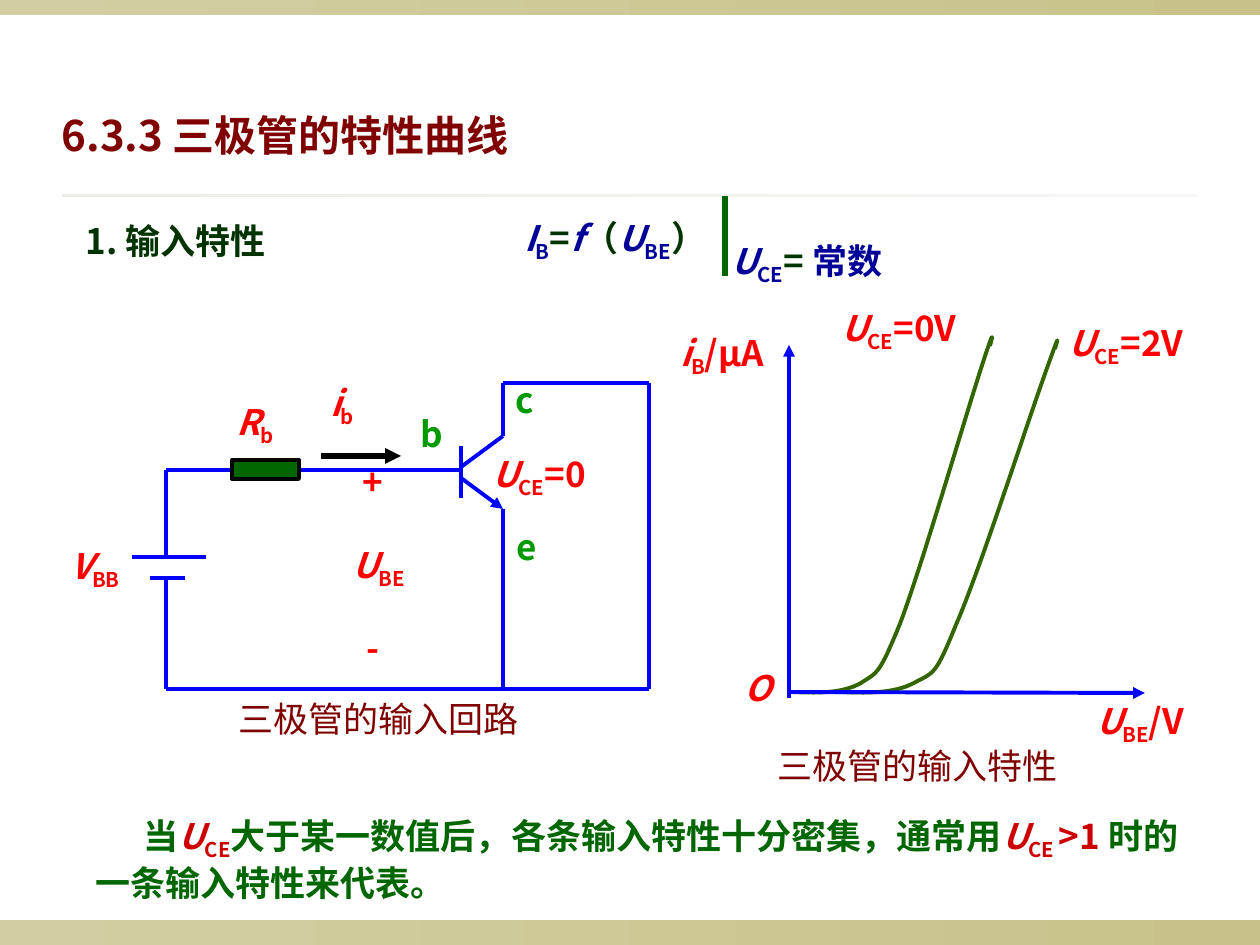
from pptx import Presentation
from pptx.dml.color import RGBColor
from pptx.enum.shapes import MSO_CONNECTOR as LINK, MSO_SHAPE as SHAPE
from pptx.enum.text import MSO_ANCHOR as ANCHOR, MSO_AUTO_SIZE as FIT, PP_ALIGN as ALIGN
from pptx.oxml.ns import qn
from pptx.util import Pt
from lxml.etree import SubElement

SCALE = 914400 / 126
FONT = "Noto Sans CJK SC"
RED, CRIMSON, MAROON = "FF0000", "CC0000", "800000"
BLUE, NAVY = "0000FF", "000099"
PINE, GREEN, LEAF, OLIVE = "003300", "006600", "009900", "336600"
BLACK = "000000"


def emu(px):
    return round(px * SCALE)


def rgb(code):
    return RGBColor.from_string(code)


def run(text, **style):
    return text, style


def sym(name, sub, **style):
    """Return an italic quantity followed by its subscript."""
    return [run(name, italic=True, **style), run(sub, sub=True, **style)]


def write(para, text, color=RED, size=20, bold=True, italic=False, sub=False):
    piece = para.add_run()
    piece.text = text
    font = piece.font
    font.name, font.size = FONT, Pt(size)
    font.bold, font.italic = bold, italic
    font.color.rgb = rgb(color)
    props = piece._r.get_or_add_rPr()
    SubElement(props, qn("a:ea"), typeface=FONT)
    if sub:
        props.set("baseline", "-25000")


def bend(a, b, c, d, steps=16):
    """Return points of a cubic curve, without its first one."""
    for n in range(1, steps + 1):
        t = n / steps
        u = 1 - t
        yield tuple(u**3 * p + 3 * u * u * t * q + 3 * u * t * t * r + t**3 * s
                    for p, q, r, s in zip(a, b, c, d))


class Pen:
    def __init__(self, deck):
        self.slide = deck.slides.add_slide(deck.slide_layouts[5])
        self.shapes = self.slide.shapes

    def fill_text(self, shape, runs, indent=0, **style):
        frame = shape.text_frame
        frame.word_wrap = True
        frame.auto_size = FIT.NONE
        frame.vertical_anchor = ANCHOR.TOP
        para = frame.paragraphs[0]
        para.alignment = ALIGN.LEFT
        para.space_before = Pt(0)
        if indent:
            para._p.get_or_add_pPr().set("indent", str(emu(indent)))
        for text, own in runs:
            write(para, text, **{**style, **own})

    def title(self, x, y, w, h, text, **style):
        shape = self.shapes.title
        shape.left, shape.top, shape.width, shape.height = map(emu, (x, y, w, h))
        self.fill_text(shape, [run(text)], **style)

    def text(self, x, y, w, h, runs, **style):
        box = self.shapes.add_textbox(*map(emu, (x, y, w, h)))
        self.fill_text(box, runs, **style)

    def rect(self, x, y, w, h):
        shape = self.shapes.add_shape(SHAPE.RECTANGLE, *map(emu, (x, y, w, h)))
        shape.shadow.inherit = False
        return shape

    def band(self, x, y, w, h, *colors):
        shape = self.rect(x, y, w, h)
        shape.line.fill.background()
        shape.fill.gradient()
        shape.fill.gradient_angle = 0
        for place, (stop, color) in enumerate(zip(shape.fill.gradient_stops, colors)):
            stop.position = place
            stop.color.rgb = rgb(color)

    def block(self, x, y, w, h, fill, edge):
        shape = self.rect(x, y, w, h)
        shape.fill.solid()
        shape.fill.fore_color.rgb = rgb(fill)
        self.stroke(shape, edge)

    def stroke(self, shape, color, width=2.25):
        shape.line.color.rgb = rgb(color)
        shape.line.width = Pt(width)

    def line(self, x1, y1, x2, y2, color=BLUE, width=2.25, arrow=False):
        link = self.shapes.add_connector(LINK.STRAIGHT, *map(emu, (x1, y1, x2, y2)))
        self.stroke(link, color, width)
        if arrow:
            SubElement(link.line._get_or_add_ln(), qn("a:tailEnd"), type="triangle")
        SubElement(link._element.spPr, qn("a:effectLst"))

    def curve(self, knots, color):
        """Draw joined cubic curves; knots hold a start and three points per part."""
        points = [p for n in range(0, len(knots) - 1, 3) for p in bend(*knots[n:n + 4])]
        build = self.shapes.build_freeform(*map(emu, knots[0]), scale=1)
        build.add_line_segments([tuple(map(emu, p)) for p in points], close=False)
        shape = build.convert_to_shape()
        shape.shadow.inherit = False
        shape.fill.background()
        self.stroke(shape, color)


def heads(pen):
    for y, h in ((920, 25), (0, 15)):
        pen.band(0, y, 1260, h, "D3CEA1", "C8C28A")
    pen.band(62, 194, 1135, 3, "EEECE6", "F8F7F5")
    pen.title(49, 103, 793, 63, "6.3.3 三极管的特性曲线", color=MAROON, size=24)
    pen.text(73, 213, 426, 55, [run("1. 输入特性")], color=PINE)
    pen.text(512, 210, 305, 60, [
        *sym("I", "B"), run("=", color=PINE), run("f", italic=True),
        run("（", color=PINE), *sym("U", "BE"), run("）", color=PINE)], color=NAVY)
    pen.line(725, 196, 725, 276, GREEN, 3)
    pen.text(719, 233, 212, 60, [
        *sym("U", "CE"), run("= ", color=PINE), run("常数")], color=NAVY)


def graph(pen):
    pen.curve([(790, 692), (815, 693), (842, 694), (861, 683),
               (878, 672), (879, 675), (900, 624),
               (920, 572), (965, 418), (980, 372),
               (995, 325), (993, 336), (990, 346)], OLIVE)
    pen.curve([(837, 692), (866, 693), (893, 694), (914, 683),
               (934, 672), (935, 677), (956, 625),
               (979, 573), (1028, 421), (1045, 374),
               (1061, 329), (1058, 339), (1055, 349)], OLIVE)
    pen.line(790, 692, 1145, 693, arrow=True)
    pen.line(789, 698, 789, 345, arrow=True)
    for x, y, w, name, sub, rest in (
            (829, 300, 185, "U", "CE", "=0V"), (1056, 315, 185, "U", "CE", "=2V"),
            (1084, 693, 137, "U", "BE", "/V"), (668, 325, 130, "i", "B", "/μA")):
        pen.text(x, y, w, 60, [*sym(name, sub), run(rest)])
    pen.text(732, 660, 63, 55, [run("O", italic=True)])
    pen.text(765, 738, 378, 55, [run("三极管的输入特性")], color=MAROON, bold=False)


def loop(pen):
    left, base, gate, out, right = 166, 689, 461, 503, 649
    top, mid = 383, 470
    for ends in (
            (left, base, right, base), (left, mid, left, 557),
            (132, 557, 206, 557), (150, 578, 185, 578), (left, 578, left, base),
            (out, top, right, top), (right, top, right, base),
            (out, 509, out, base), (gate, 446, gate, 498),
            (gate, 467, out, 436), (out, 436, out, top), (left, mid, gate, mid)):
        pen.line(*ends)
    pen.line(gate, 478, out, 509, arrow=True)
    pen.line(321, 456, 401, 456, BLACK, 3, arrow=True)
    pen.block(232, 460, 67, 19, GREEN, BLACK)
    for x, y, w, name, sub in (
            (340, 537, 102, "U", "BE"), (318, 375, 112, "i", "b"),
            (58, 538, 101, "V", "BB"), (224, 394, 81, "R", "b")):
        pen.text(x, y, w, 60, sym(name, sub))
    pen.text(480, 446, 146, 60, [*sym("U", "CE"), run("=0")])
    for x, y, mark, color in (
            (350, 454, "+", RED), (354, 620, "-", RED),
            (408, 406, "b", LEAF), (504, 519, "e", LEAF), (503, 372, "c", LEAF)):
        pen.text(x, y, 60, 55, [run(mark)], color=color)
    pen.text(226, 691, 396, 55, [run("三极管的输入回路")], color=MAROON, bold=False)


def note(pen):
    pen.text(83, 808, 1116, 103, [
        run("当"), *sym("U", "CE", color=CRIMSON),
        run("大于某一数值后，各条输入特性十分密集，通常用"),
        *sym("U", "CE ", color=CRIMSON), run(">1 ", color=CRIMSON),
        run("时的一条输入特性来代表。")], indent=48, color=GREEN)


def main():
    deck = Presentation()
    deck.slide_width, deck.slide_height = emu(1260), emu(945)
    pen = Pen(deck)
    for part in (heads, graph, loop, note):
        part(pen)
    deck.save("out.pptx")


if __name__ == "__main__":
    main()
